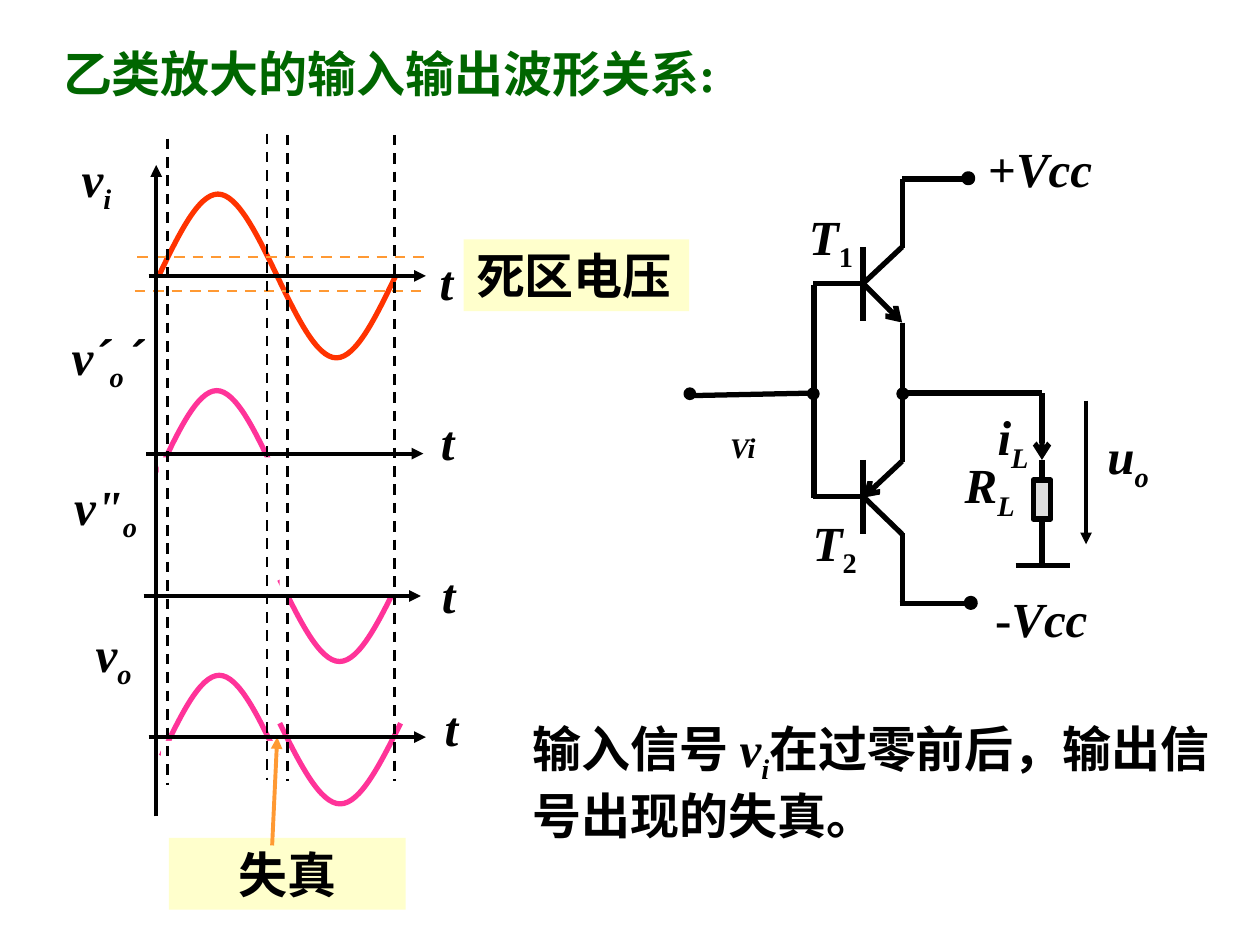
from lxml.etree import SubElement
from pptx import Presentation
from pptx.dml.color import RGBColor
from pptx.enum.dml import MSO_LINE
from pptx.enum.shapes import MSO_CONNECTOR, MSO_SHAPE
from pptx.enum.text import MSO_ANCHOR, MSO_AUTO_SIZE, PP_ALIGN
from pptx.oxml.ns import qn
from pptx.util import Inches, Pt

BLACK = RGBColor(0, 0, 0)
WHITE = RGBColor(255, 255, 255)
GREEN = RGBColor(0, 0x66, 0)
RED = RGBColor(0xFF, 0x33, 0)
PINK = RGBColor(0xFF, 0x33, 0x99)
ORANGE = RGBColor(0xFF, 0x99, 0x33)
CREAM = RGBColor(0xFF, 0xFF, 0xCC)
GRAY = RGBColor(0xDD, 0xDD, 0xDD)

# Run formats
BASE = {"size": Pt(28), "bold": True, "italic": False}
HAN = {"name": "Arial"}
ROMAN = {"name": "Times New Roman"}
VAR = {**ROMAN, "italic": True}
SUB = {**VAR, "baseline": "-25000"}
NUM = {**ROMAN, "baseline": "-25000"}

# Heights of the Bezier points of a half wave, at equal steps
ARCH = (0, 0.5, 1, 1, 1, 0.5, 0)


def fill_text(shape, runs, color=BLACK, align=PP_ALIGN.LEFT,
              anchor=MSO_ANCHOR.TOP, fit=MSO_AUTO_SIZE.SHAPE_TO_FIT_TEXT):
    frame = shape.text_frame
    frame.word_wrap = True
    frame.auto_size = fit
    frame.vertical_anchor = anchor
    para = frame.paragraphs[0]
    para.alignment = align
    for text, style in runs:
        run = para.add_run()
        run.text = text
        run.font.color.rgb = color
        for key, value in {**BASE, **style}.items():
            if key == "baseline":
                run._r.get_or_add_rPr().set(key, value)
            else:
                setattr(run.font, key, value)


def bend(curve):
    """Turn each three straight steps of an outline into one Bezier step."""
    steps = list(curve._element.iter(qn("a:lnTo")))
    for first, second, third in zip(*[iter(steps)] * 3):
        first.tag = qn("a:cubicBezTo")
        for step in (second, third):
            first.append(step[0])
            step.getparent().remove(step)


class Region:
    """Draws parts relative to the left top corner of a box."""

    def __init__(self, slide, left, top):
        self.shapes, self.left, self.top = slide.shapes, left, top

    def spot(self, x, y):
        return Inches(self.left + x), Inches(self.top + y)

    def line(self, x1, y1, x2, y2, color=BLACK, width=3, dash=False, head=None):
        wire = self.shapes.add_connector(
            MSO_CONNECTOR.STRAIGHT, *self.spot(x1, y1), *self.spot(x2, y2))
        wire.line.color.rgb = color
        wire.line.width = Pt(width)
        if dash:
            wire.line.dash_style = MSO_LINE.DASH
        if head:
            SubElement(wire.line._get_or_add_ln(), qn("a:tailEnd"), type=head)
        SubElement(wire._element.spPr, qn("a:effectLst"))
        return wire

    def shape(self, x, y, w, h, fill, edge=None, kind=MSO_SHAPE.RECTANGLE):
        part = self.shapes.add_shape(kind, *self.spot(x, y), Inches(w), Inches(h))
        part.shadow.inherit = False
        part.fill.solid()
        part.fill.fore_color.rgb = fill
        if edge:
            part.line.color.rgb = BLACK
            part.line.width = Pt(edge)
        else:
            part.line.fill.background()
        return part

    def dot(self, x, y, edge=2.25):
        self.shape(x, y, 0.07, 0.07, BLACK, edge, MSO_SHAPE.OVAL)

    def text(self, x, y, w, h, runs, **style):
        box = self.shapes.add_textbox(*self.spot(x, y), Inches(w), Inches(h))
        fill_text(box, runs, **style)

    def hump(self, x, y, w, h, color):
        """Half wave from (x, y); a negative h rises."""
        points = [self.spot(x + w * i / 6, y + h * part) for i, part in enumerate(ARCH)]
        outline = self.shapes.build_freeform(*points[0])
        outline.add_line_segments(points[1:], close=False)
        curve = outline.convert_to_shape()
        bend(curve)
        curve.shadow.inherit = False
        curve.fill.background()
        curve.line.color.rgb = color
        curve.line.width = Pt(3)


def add_title(slide, x, y, w, h):
    title = slide.shapes.title
    title.left, title.top, title.width, title.height = map(Inches, (x, y, w, h))
    fill_text(title, [("乙类放大的输入输出波形关系", HAN), (":", ROMAN)], GREEN,
              anchor=MSO_ANCHOR.MIDDLE, fit=MSO_AUTO_SIZE.NONE)


def add_waves(slide, left, top):
    area = Region(slide, left, top)
    # Output wave, input wave and the two half outputs, with masks at the axes
    area.hump(2.22, 4.74, 0.96, 0.64, PINK)
    area.hump(1.28, 5, 0.92, -0.64, PINK)
    area.shape(1.28, 4.88, 0.94, 0.33, WHITE)
    area.hump(1.26, 1.19, 0.94, -0.65, RED)
    area.hump(2.2, 1.19, 0.94, 0.65, RED)
    for x, y in ((1.09, 1.04), (1.07, 1.31)):
        area.line(x, y, x + 2.32, y, ORANGE, 1.5, dash=True)
    area.hump(1.26, 2.75, 0.92, -0.65, PINK)
    area.shape(1.26, 2.63, 0.94, 0.33, WHITE)
    area.hump(2.22, 3.6, 0.95, 0.65, PINK)
    area.shape(2.22, 3.4, 0.98, 0.33, WHITE)

    # Dashed guides
    for x, y in ((3.13, 0.07), (2.28, 0.07), (2.12, 0.06), (1.33, 0.1)):
        area.line(x, y, x, y + 5.13, width=1.5, dash=True)

    # Notes
    note = area.shape(1.34, 5.65, 1.88, 0.57, CREAM)
    fill_text(note, [("失真", HAN)], align=PP_ALIGN.CENTER)
    area.line(2.16, 5.71, 2.2, 4.85, ORANGE, 2.25, head="triangle")
    zone = area.shape(3.68, 0.9, 1.79, 0.57, CREAM)
    fill_text(zone, [("死区电压", HAN)])

    # Axes with their time labels
    area.line(1.24, 5.48, 1.24, 0.31, width=2.25, head="triangle")
    for x, y, tx, ty in ((1.18, 1.19, 3.39, 0.95), (1.16, 2.6, 3.4, 2.22),
                         (1.14, 3.73, 3.41, 3.43), (1.18, 4.85, 3.43, 4.49)):
        area.line(x, y, x + 2.2, y, width=2.25, head="triangle")
        area.text(tx, ty, 0.56, 0.57, [("t", VAR)])

    # Voltage labels
    prime = {"name": "Arial", "italic": True}
    for x, y, w, runs in (
            (0.55, 0.13, 0.58, [("v", VAR), ("i", SUB)]),
            (0.66, 3.9, 0.58, [("v", VAR), ("o", SUB)]),
            (0.49, 2.73, 0.83, [('v"', VAR), ("o", SUB)]),
            (0.47, 1.54, 1.04, [("v", VAR), ("´", prime), ("o ", SUB), ("´", HAN)])):
        area.text(x, y, w, 0.63, runs)


def add_circuit(slide, left, top):
    area = Region(slide, left, top)
    # Input, supply and output wires
    for ends in ((1.46, 1.26, 1.46, 2.95), (1.45, 2.12, 0.49, 2.14),
                 (2.16, 1.56, 2.16, 2.67), (2.16, 2.12, 3.27, 2.12),
                 (2.16, 0.42, 2.7, 0.42), (2.16, 0.42, 2.16, 0.97),
                 (2.16, 3.23, 2.16, 3.79), (2.14, 3.79, 2.66, 3.79),
                 (3.06, 3.49, 3.49, 3.49)):
        area.line(*ends)

    # Transistors: base lead, bar, upper and lower arm
    for y in (1.25, 2.94):
        area.line(1.85, y, 1.45, y)
        area.line(1.85, y - 0.29, 1.85, y + 0.3)
    area.line(2.16, 0.96, 1.85, 1.25)
    area.line(1.85, 1.25, 2.16, 1.56, head="arrow")
    area.line(2.16, 2.66, 1.85, 2.95, head="arrow")
    area.line(1.85, 2.94, 2.16, 3.24)

    # Load
    load = area.shape(3.2, 2.81, 0.14, 0.31, GRAY, 3)
    area.line(3.27, 2.12, 3.27, 2.65, head="arrow")
    area.line(3.27, 2.81, 3.27, 2.65).begin_connect(load, 0)
    area.line(3.27, 3.12, 3.27, 3.49).begin_connect(load, 2)
    area.line(3.62, 2.18, 3.62, 3.32, width=2.25, head="triangle")

    # Terminals and nodes
    for x in (0.44, 1.42, 2.13):
        area.dot(x, 2.09)
    area.dot(2.65, 0.38, 3)
    area.dot(2.67, 3.75, 3)

    # Labels
    mid, near = PP_ALIGN.CENTER, PP_ALIGN.LEFT
    for x, y, w, h, runs, align in (
            (0.37, 2.1, 1.05, 0.63, [("Vi", SUB)], mid),
            (1.14, 0.59, 0.91, 0.63, [("T", VAR), ("1", NUM)], mid),
            (1.17, 3.02, 0.91, 0.63, [("T", VAR), ("2", NUM)], mid),
            (2.61, 0.05, 1.29, 0.57, [("+", ROMAN), ("Vcc", VAR)], mid),
            (2.8, 3.62, 1.1, 0.57, [("-", ROMAN), ("Vcc", VAR)], near),
            (3.69, 2.33, 0.85, 0.63, [("u", VAR), ("o", SUB)], near),
            (2.51, 2.56, 0.69, 0.63, [("R", VAR), ("L", SUB)], mid),
            (2.74, 2.18, 0.6, 0.63, [("i", VAR), ("L", SUB)], mid)):
        area.text(x, y, w, h, runs, align=align, anchor=MSO_ANCHOR.MIDDLE)


def add_remark(slide, left, top):
    Region(slide, left, top).text(
        0, 0, 5.61, 1.1,
        [("输入信号 ", HAN), ("v", VAR), ("i", SUB),
         ("在过零前后，输出信号出现的失真。", HAN)], anchor=MSO_ANCHOR.MIDDLE)


def main():
    deck = Presentation()
    deck.slide_width, deck.slide_height = Inches(10), Inches(7.5)
    slide = deck.slides.add_slide(deck.slide_layouts[5])
    add_title(slide, 0.4, 0.29, 6.59, 0.57)
    add_circuit(slide, 5, 1)
    add_waves(slide, 0, 1)
    add_remark(slide, 4.13, 5.65)
    deck.save("out.pptx")


if __name__ == "__main__":
    main()
